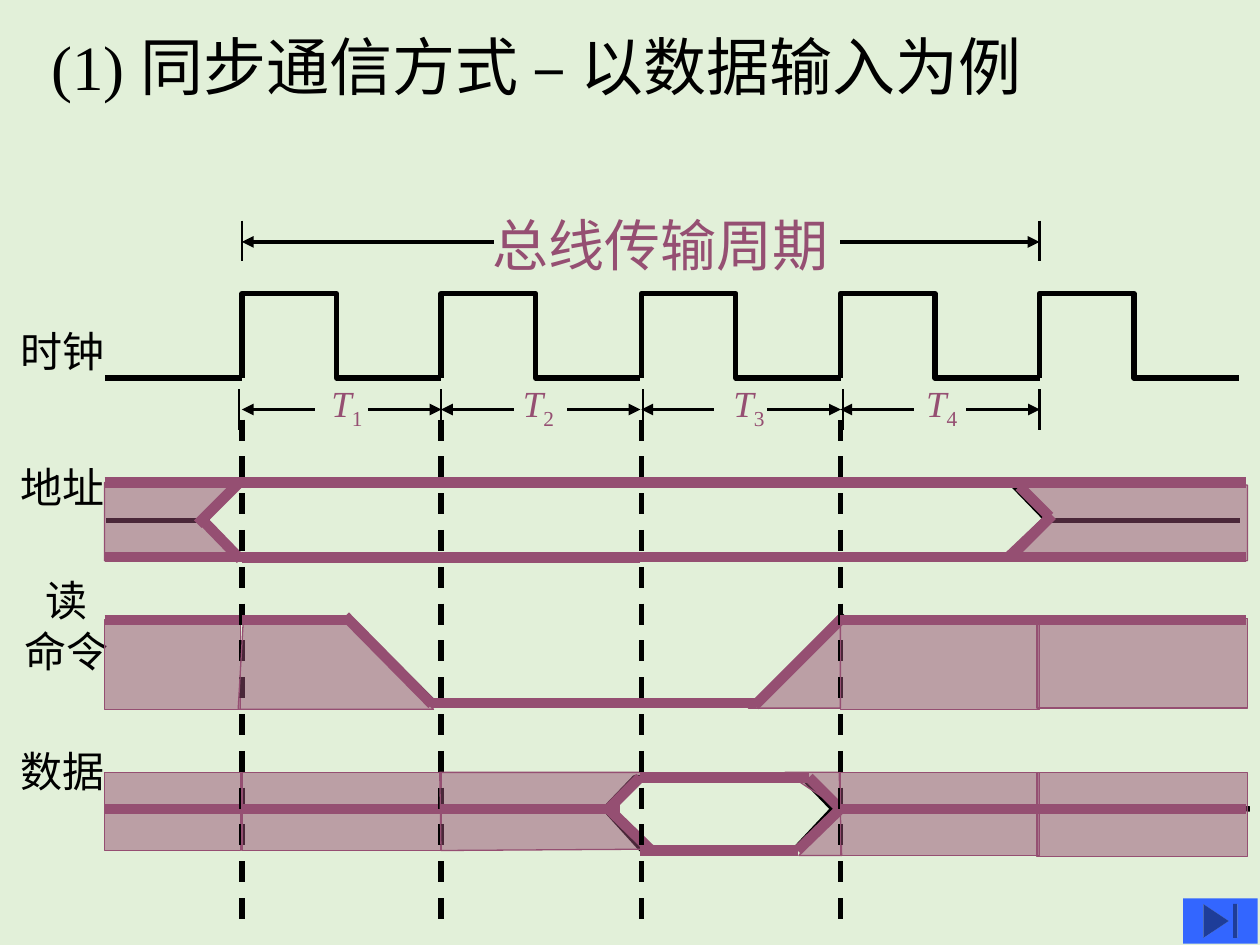
from pptx import Presentation, util as u
from pptx.dml.color import RGBColor
from pptx.enum import dml, shapes, text as t
from pptx.oxml import parse_xml
from pptx.oxml.ns import nsdecls, qn
from lxml import etree

INCH = 2.54  # coordinates below are in inches, lengths are given in Cm
THEME = {
    "bg": "E2F0D9", "ink": "000000", "plum": "954F72", "button": "3366FF",
    "latin": "Times New Roman", "cjk": "Noto Sans CJK SC",
    "title": 36, "cycle": 32, "label": 24, "step": 21,
    "tick": 1.25, "arrow": 2.25, "wire": 3, "bold": 6, "edge": 0.75,
}

# Time grid: rising clock edges, each one clock period apart
START, STEP, HIGH = 1.92, 1.583, 0.75
EDGES = [round(START + STEP * i, 2) for i in range(5)]

TITLE = "(1) 同步通信方式 – 以数据输入为例"
CYCLE = "总线传输周期"
LABELS = [("时钟", 2.5), ("地址", 3.58), ("数据", 5.83)]
READ = ["读", "命令"]
STEPS = [("1", 2.63), ("2", 4.15), ("3", 5.82), ("4", 7.35)]

# Thin black signals beneath the highlights
WIRES = [
    (0.84, 4.9, 2.78, 4.9), (3.46, 5.59, 2.76, 4.89), (6.7, 4.88, 6.02, 5.56),
    (3.44, 5.57, 6.03, 5.57), (6.69, 4.9, 9.87, 4.9),
    (1.67, 4.13, 0.84, 4.13), (8.33, 4.13, 9.84, 4.13),
    (0.83, 6.42, 4.8, 6.42), (6.61, 6.41, 9.92, 6.42),
]
CELLS = [
    [(1.91, 3.83), (1.62, 4.13), (1.92, 4.43), (8.02, 4.43), (8.31, 4.13), (8.02, 3.83)],
    [(4.8, 6.42), (5.04, 6.17), (6.37, 6.17), (6.61, 6.42), (6.31, 6.74), (5.09, 6.74)],
]

# Highlights by time slot: shaded boxes, shaded outlines, thick lines
ADDR, READY, LOW, DATA = (3.83, 4.42), 4.92, 5.58, 6.42
SLOTS = [
    {"span": (0.83, 1.92), "rails": (*ADDR, READY, DATA),
     "boxes": [(0.83, 4.92, 1.08, 0.71), (0.83, 6.13, 1.08, 0.62)],
     "areas": [[(1.62, 4.17), (1.84, 3.84), (0.83, 3.83), (0.83, 4.45), (1.9, 4.45)]],
     "lines": [(1.91, 4.44, 1.59, 4.11), (1.89, 3.84, 1.57, 4.16)]},
    {"span": (1.92, 3.5), "rails": (*ADDR, DATA), "thin": (3.85, 4.45),
     "boxes": [(1.92, 6.13, 1.58, 0.62)],
     "areas": [[(1.89, 5.63), (3.44, 5.63), (2.76, 4.92), (1.93, 4.94)]],
     "lines": [(1.92, READY, 2.75, READY), (3.43, 5.59, 2.74, 4.89)]},
    {"span": (3.5, 5.08), "rails": ADDR, "thin": (3.85, 4.45),
     "areas": [[(3.49, 6.13), (5.11, 6.13), (4.83, 6.42), (5.11, 6.74), (3.5, 6.75)]],
     "lines": [(3.5, DATA, 4.92, DATA), (3.42, LOW, 5.13, LOW),
               (4.83, 6.42, 5.08, 6.17), (4.83, 6.42, 5.17, 6.75)]},
    {"span": (5.08, 6), "rails": (*ADDR, LOW, 6.17, 6.75),
     "lines": [(6.69, 4.9, 5.99, 5.6)]},
    {"span": (6, 6.67), "rails": ADDR,
     "areas": [[(5.94, 5.62), (6.67, 5.62), (6.67, 4.87)],
               [(6.67, 6.42), (6.23, 6.13), (6.66, 6.13), (6.68, 6.79), (6.34, 6.79)]],
     "lines": [(6.33, 6.75, 6.67, 6.42), (6.42, 6.17, 6.67, 6.42),
               (6, 6.17, 6.42, 6.17), (5.92, 6.75, 6.33, 6.75)]},
    {"span": (6.67, 8.25), "rails": (*ADDR, READY, DATA),
     "boxes": [(6.67, 4.92, 1.58, 0.71), (6.67, 6.13, 1.58, 0.66)],
     "lines": [(8.35, 4.09, 8.03, 4.41), (8.33, 4.1, 8.09, 3.86)]},
    {"span": (8.23, 9.89), "rails": (*ADDR, READY, DATA),
     "boxes": [(8.23, 4.91, 1.67, 0.71), (8.23, 6.13, 1.67, 0.67)],
     "areas": [[(8.06, 3.83), (9.9, 3.85), (9.9, 4.45), (7.92, 4.45), (8.31, 4.08)]]},
]
DASHES = {0: 0, 1: 1, 2: 2, 4: 3}  # slot index -> clock edge that closes it

prs = Presentation()
prs.slide_width, prs.slide_height = u.Cm(25.4), u.Cm(19.05)
slide = prs.slides.add_slide(prs.slide_layouts[6])


def cm(*vals):
    return [u.Cm(v * INCH) for v in vals]


def hue(name):
    return RGBColor.from_string(THEME[name])


def line(pts, color="ink", width="wire", head=None, dash=False):
    con = slide.shapes.add_connector(shapes.MSO_CONNECTOR.STRAIGHT, *cm(*pts))
    con.line.color.rgb = hue(color)
    con.line.width = u.Pt(THEME[width])
    if dash:
        con.line.dash_style = dml.MSO_LINE.DASH
    if head:
        ln = con.line._get_or_add_ln()
        etree.SubElement(ln, qn(f"a:{head}"), type="triangle")
    con._element.spPr.append(parse_xml(f"<a:effectLst {nsdecls('a')}/>"))


def paint(shape, color="plum", width="edge", shade=True):
    shape.shadow.inherit = False
    shape.line.color.rgb = hue(color)
    shape.line.width = u.Pt(THEME[width])
    if not shade:
        shape.fill.background()
        return
    shape.fill.solid()
    shape.fill.fore_color.rgb = hue(color)
    tint = shape._element.spPr.find(".//" + qn("a:srgbClr"))
    etree.SubElement(tint, qn("a:alpha"), val="50000")


def outline(pts, close=True, **fmt):
    pts = [cm(*p) for p in pts]
    form = slide.shapes.build_freeform(*pts[0])
    form.add_line_segments(pts[1:], close=close)
    paint(form.convert_to_shape(), **fmt)


def write(paras, place, size, color="ink", latin="latin", pad=(0, 0, 0, 0),
          drop=0.1, wrap=True, align=t.PP_ALIGN.LEFT):
    """Each paragraph is a list of (text, style); style is '', 'i' or 'sub'."""
    pt = THEME[size]
    frame = slide.shapes.add_textbox(*cm(*place)).text_frame
    frame.word_wrap = wrap
    left, top, right, low = pad
    top += drop * pt / 72
    (frame.margin_left, frame.margin_top,
     frame.margin_right, frame.margin_bottom) = cm(left, top, right, low)
    for i, runs in enumerate(paras):
        para = frame.paragraphs[0] if i == 0 else frame.add_paragraph()
        para.alignment = align
        para.line_spacing = u.Pt(pt * 1.2)
        for words, style in runs:
            run = para.add_run()
            run.text = words
            run.font.size = u.Pt(pt)
            run.font.name = THEME[latin]
            run.font.color.rgb = hue(color)
            run.font.italic = style == "i"
            props = run._r.get_or_add_rPr()
            etree.SubElement(props, qn("a:ea"), typeface=THEME["cjk"])
            if style == "sub":
                props.set("baseline", "-25000")


slide.background.fill.solid()
slide.background.fill.fore_color.rgb = hue("bg")

# Title and row labels
write([[(TITLE, "")]], (0.31, 0.12, 7.93, 1.3), "title", pad=(0.1, 0.05, 0.1, 0.05))
for name, top in LABELS:
    write([[(name, "")]], (0.08, top, 1, 0.5), "label", pad=(0.08, 0.05, 0.1, 0.05))
write([[(w, "")] for w in READ], (0.19, 4.48, 1, 0.9), "label",
      pad=(0, 0.05, 0.32, 0.05), align=t.PP_ALIGN.CENTER)

# Bus cycle span
write([[(CYCLE, "")]], (3.91, 1.63, 2.67, 0.53), "cycle", "plum", "cjk", wrap=False)
for x in (EDGES[0], EDGES[-1]):
    line((x, 1.75, x, 2.07), width="tick")
line((EDGES[0], 1.92, 3.92, 1.92), width="arrow", head="headEnd")
line((EDGES[3], 1.92, EDGES[4], 1.92), width="arrow", head="tailEnd")

# Clock wave and its periods
line((EDGES[0], 3, 0.83, 3))
for x in EDGES:
    outline([(x, 3), (x, 2.33), (x + HIGH, 2.33), (x + HIGH, 3), (x + STEP, 3)],
            close=False, color="ink", width="wire", shade=False)
for x in (1.9, 3.5, 5.1, 6.69, 8.25):
    line((x, 3.09, x, 3.41), width="tick")
for x, (num, left) in zip(EDGES, STEPS):
    line((x, 3.25, x + 0.58, 3.25), width="arrow", head="headEnd")
    line((x + 1, 3.25, x + STEP, 3.25), width="arrow", head="tailEnd")
    write([[("T", "i"), (num, "sub")]], (left, 3.07, 0.25, 0.4), "step", "plum",
          drop=0, wrap=False)

# Black signals
for pts in WIRES:
    line(pts)
for pts in CELLS:
    outline(pts, color="ink", width="wire", shade=False)

# Highlights, each slot closed by its dashed clock edge
for i, slot in enumerate(SLOTS):
    a, b = slot["span"]
    for x, y, w, h in slot.get("boxes", []):
        paint(slide.shapes.add_shape(shapes.MSO_SHAPE.RECTANGLE, *cm(x, y, w, h)))
    for pts in slot.get("areas", []):
        outline(pts)
    for y in slot.get("thin", []):
        line((a, y, b, y), "plum")
    for y in slot["rails"]:
        line((a, y, b, y), "plum", "bold")
    for pts in slot.get("lines", []):
        line(pts, "plum", "bold")
    if i in DASHES:
        x = EDGES[DASHES[i]]
        line((x, 3.33, x, 7.4), dash=True)

# Button in the corner
button = slide.shapes.add_shape(shapes.MSO_SHAPE.ACTION_BUTTON_END, *cm(9.39, 7.13, 0.59, 0.36))
button.shadow.inherit = False
button.fill.solid()
button.fill.fore_color.rgb = hue("button")
button.line.fill.background()

prs.save("out.pptx")
